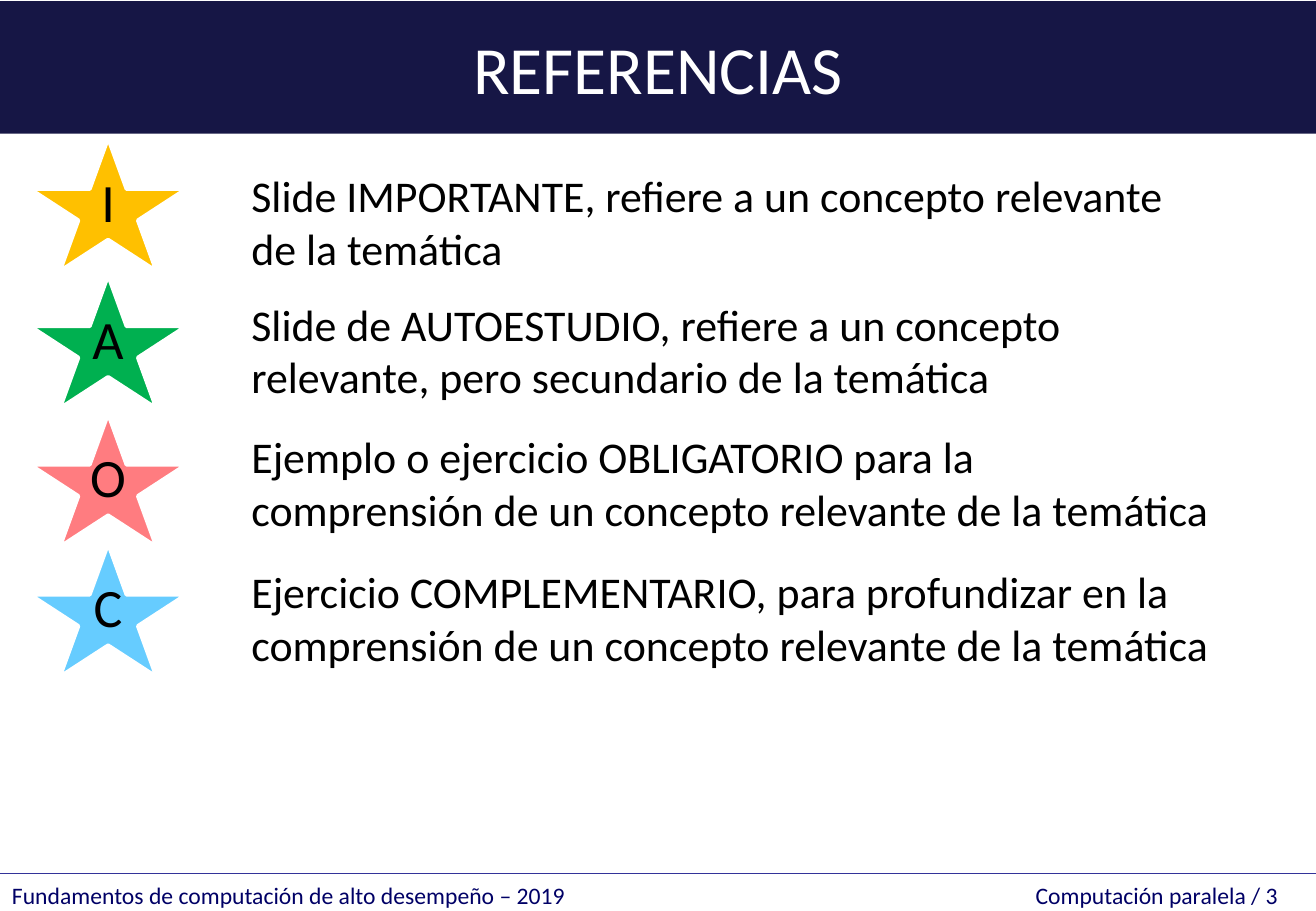
from lxml.etree import SubElement
from pptx import Presentation
from pptx.dml.color import RGBColor
from pptx.enum.shapes import MSO_CONNECTOR, MSO_SHAPE
from pptx.enum.text import MSO_ANCHOR, MSO_AUTO_SIZE, PP_ALIGN
from pptx.oxml.ns import qn
from pptx.util import Inches, Pt

NAVY = RGBColor(0x16, 0x16, 0x45)
FOOTER_BLUE = RGBColor(0x00, 0x00, 0x66)
RULE_BLUE = RGBColor(0x33, 0x33, 0x99)
AMBER = RGBColor(0xFF, 0xC0, 0x00)
GREEN = RGBColor(0x00, 0xB0, 0x50)
CORAL = RGBColor(0xFF, 0x7C, 0x80)
SKY = RGBColor(0x66, 0xCC, 0xFF)
WHITE = RGBColor(0xFF, 0xFF, 0xFF)
BLACK = RGBColor(0x00, 0x00, 0x00)

HEADING = "REFERENCIAS"
FOOTER = ("Fundamentos de computación de alto desempeño – 2019", "Computación paralela / 3")
REFERENCES = [
    ("I", AMBER, 1.14, 1.34,
     "Slide IMPORTANTE, refiere a un concepto relevante de la temática"),
    ("A", GREEN, 2.27, 2.4,
     "Slide de AUTOESTUDIO, refiere a un concepto relevante, pero secundario de la temática"),
    ("O", CORAL, 3.41, 3.49,
     "Ejemplo o ejercicio OBLIGATORIO para la comprensión de un concepto relevante de la temática"),
    ("C", SKY, 4.48, 4.6,
     "Ejercicio COMPLEMENTARIO, para profundizar en la comprensión de un concepto relevante"
     " de la temática"),
]
SLIDE_WIDTH, SLIDE_HEIGHT = 10.83, 7.5
FOOTER_TOP = 7.19
FOOTER_TAB = 10.42


def write(shape, text, size, color, align=PP_ALIGN.LEFT, anchor=MSO_ANCHOR.TOP,
          wrap=True, spacing=None, right_tab=None):
    """Put one formatted paragraph into a shape."""
    frame = shape.text_frame
    frame.auto_size = MSO_AUTO_SIZE.NONE
    frame.word_wrap = wrap
    frame.vertical_anchor = anchor
    frame.text = text
    paragraph = frame.paragraphs[0]
    paragraph.alignment = align
    if spacing:
        paragraph.line_spacing = spacing
    if right_tab:
        tabs = SubElement(paragraph._p.get_or_add_pPr(), qn("a:tabLst"))
        SubElement(tabs, qn("a:tab"), pos=str(Inches(right_tab)), algn="r")
    font = paragraph.runs[0].font
    font.name, font.size, font.color.rgb = "Calibri", Pt(size), color


def add_text(slide, left, top, width, height, text, size, color, **options):
    """Add a text box at a place given in inches."""
    box = slide.shapes.add_textbox(Inches(left), Inches(top), Inches(width), Inches(height))
    write(box, text, size, color, **options)


def add_star(slide, top, letter, color):
    """Add a lettered star in the left column."""
    star = slide.shapes.add_shape(MSO_SHAPE.STAR_5_POINT, Inches(0.25), Inches(top),
                                  Inches(1.28), Inches(1.09))
    star.shadow.inherit = False
    star.fill.solid()
    star.fill.fore_color.rgb = color
    star.line.color.rgb = WHITE
    star.line.width = Pt(2.25)
    write(star, letter, 32, BLACK, align=PP_ALIGN.CENTER, anchor=MSO_ANCHOR.MIDDLE,
          wrap=False, spacing=0.9)
    star.text_frame.margin_bottom = Inches(0.21)


def add_footer(slide):
    """Add the footer rule and its two-sided text."""
    rule = slide.shapes.add_connector(MSO_CONNECTOR.STRAIGHT, 0, Inches(FOOTER_TOP),
                                      Inches(SLIDE_WIDTH), Inches(FOOTER_TOP))
    rule.line.color.rgb = RULE_BLUE
    rule.line.width = Pt(0.75)
    SubElement(rule._element.spPr, qn("a:effectLst"))
    add_text(slide, 0, FOOTER_TOP + 0.01, SLIDE_WIDTH, 0.3, "\t".join(FOOTER), 14,
             FOOTER_BLUE, right_tab=FOOTER_TAB)


def main():
    """Build and save the slide."""
    deck = Presentation()
    deck.slide_width, deck.slide_height = Inches(SLIDE_WIDTH), Inches(SLIDE_HEIGHT)
    slide = deck.slides.add_slide(deck.slide_layouts[5])
    title = slide.shapes.title
    title.left, title.top = 0, Inches(0.01)
    title.width, title.height = Inches(SLIDE_WIDTH), Inches(1.09)
    title.fill.solid()
    title.fill.fore_color.rgb = NAVY
    write(title, HEADING, 40, WHITE, align=PP_ALIGN.CENTER, anchor=MSO_ANCHOR.MIDDLE)
    for letter, color, star_top, text_top, meaning in REFERENCES:
        add_star(slide, star_top, letter, color)
        add_text(slide, 1.97, text_top, 8.12, 0.97, meaning, 26, BLACK)
    add_footer(slide)
    deck.save("out.pptx")


if __name__ == "__main__":
    main()
